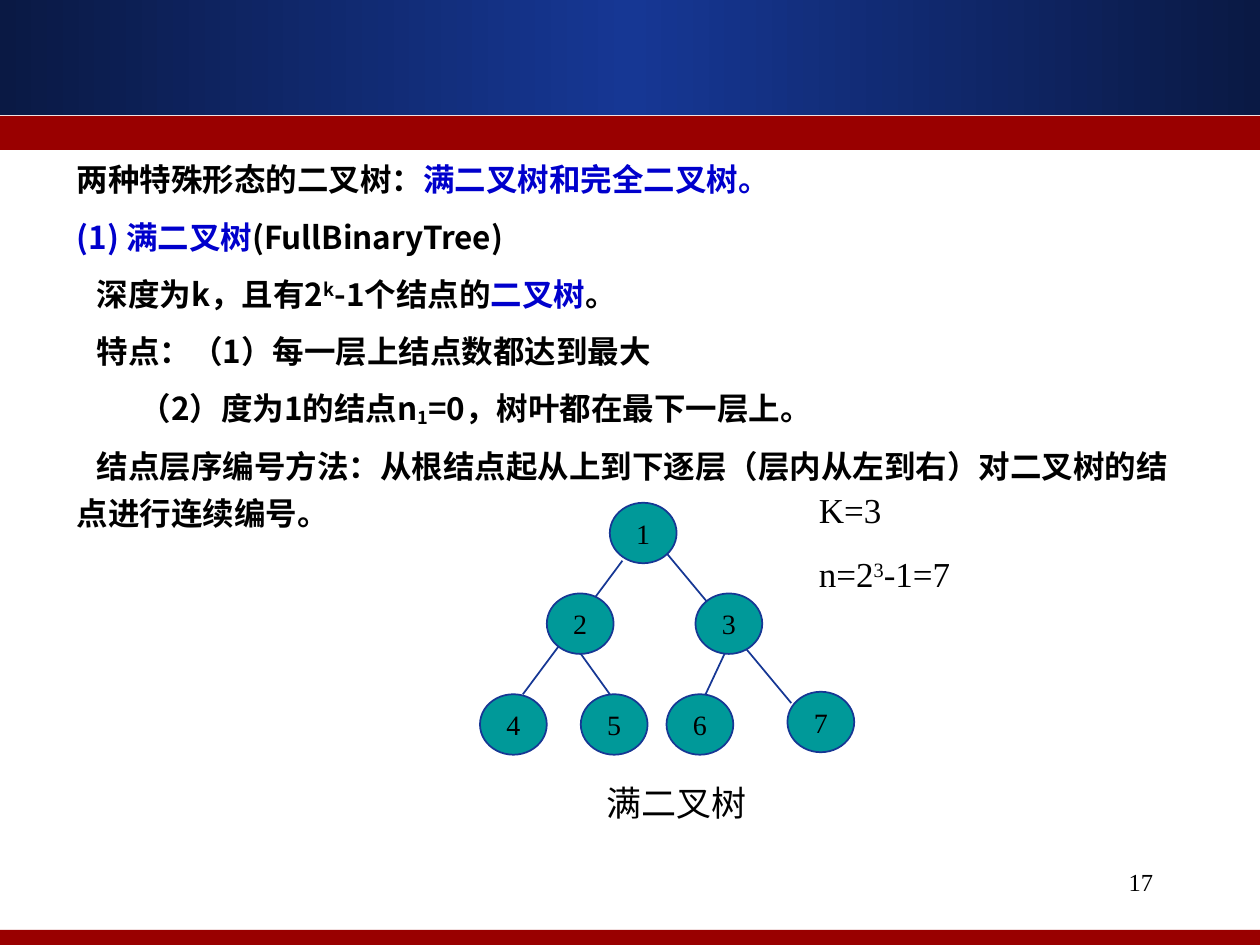
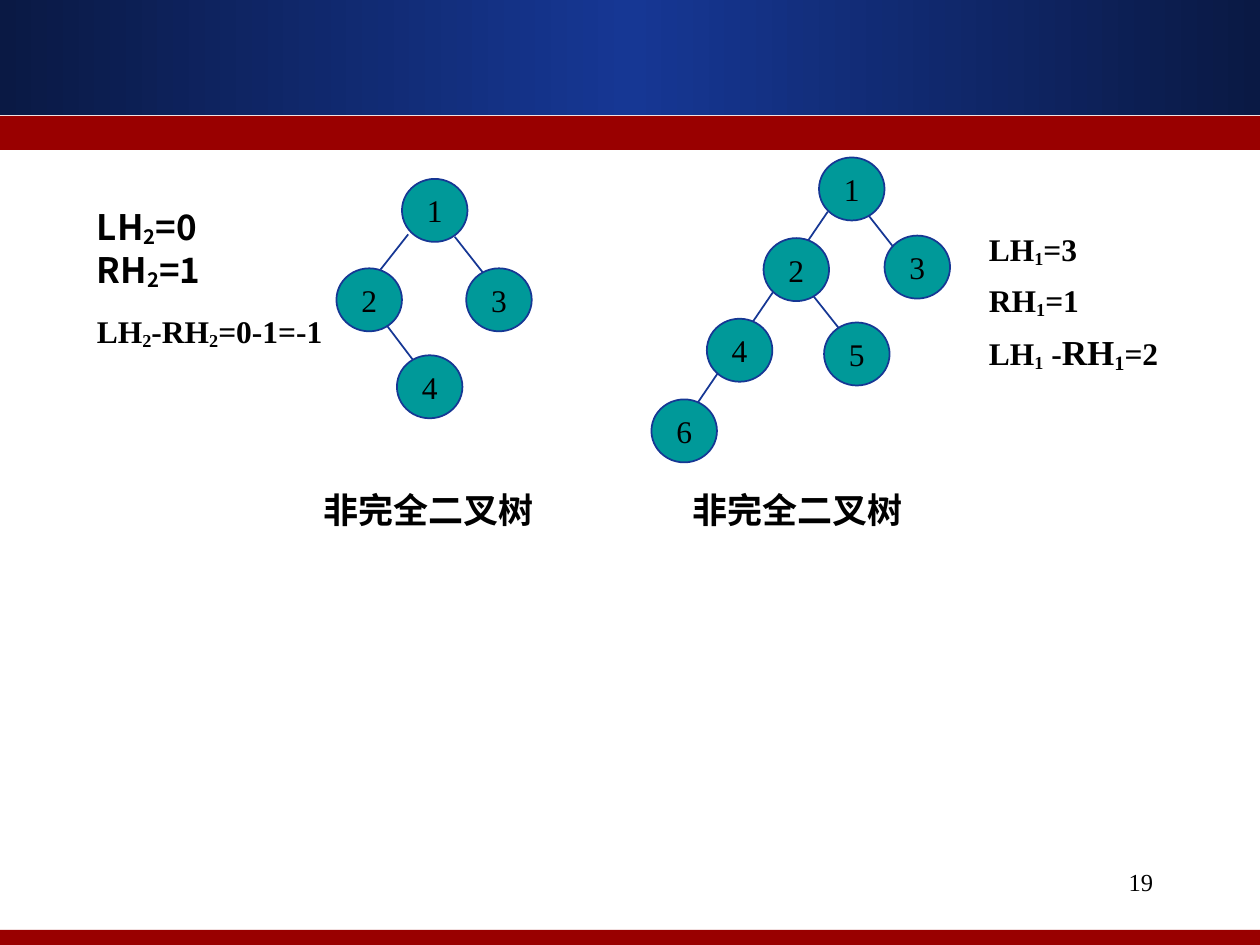
from copy import deepcopy
from lxml.etree import SubElement
from pptx import Presentation
from pptx.dml.color import RGBColor
from pptx.enum.shapes import MSO_CONNECTOR as CONNECTOR, MSO_SHAPE as SHAPE
from pptx.enum.text import MSO_ANCHOR as ANCHOR, PP_ALIGN as ALIGN
from pptx.oxml.ns import qn
from pptx.util import Inches, Pt

COLORS = {
    "ink": "000000", "term": "0000CC", "band": "990000", "node": "009999",
    "edge": "163794", "navy": "0A1944",
}
RGB = {name: RGBColor.from_string(value) for name, value in COLORS.items()}
SANS, SERIF = "Noto Sans CJK SC", "Times New Roman"
TERM = {"color": "term"}
SUB, SUPER = {"baseline": -12000}, {"baseline": 30000}


def write(shape, paragraphs, size, name=SERIF, bold=False, **para_format):
    """Fill a shape with paragraphs, each a list of strings or (string, changes) runs."""
    frame = shape.text_frame
    frame.word_wrap = True
    for number, runs in enumerate(paragraphs):
        para = frame.add_paragraph() if number else frame.paragraphs[0]
        for key, value in para_format.items():
            if number or key != "space_before":
                setattr(para, key, value)
        for run in runs:
            text, changes = (run, {}) if isinstance(run, str) else run
            style = {"size": size, "color": "ink", "baseline": 0, **changes}
            span = para.add_run()
            span.text = text
            font_format = {"name": name, "size": Pt(style["size"]), "bold": bold}
            for key, value in font_format.items():
                setattr(span.font, key, value)
            span.font.color.rgb = RGB[style["color"]]
            properties = span._r.get_or_add_rPr()
            SubElement(properties, qn("a:ea")).set("typeface", SANS)
            if style["baseline"]:
                properties.set("baseline", str(style["baseline"]))
    return frame


def draw_tree(page, edges, nodes, node_size, label_size):
    """Draw the edges (x1, y1, x2, y2), then numbered nodes at their left and top."""
    for ends in edges:
        edge = page.shapes.add_connector(CONNECTOR.STRAIGHT, *map(Inches, ends))
        edge.line.color.rgb = RGB["edge"]
        edge.line.width = Pt(1)
        SubElement(edge.element.spPr, qn("a:effectLst"))
    for label, corner in enumerate(nodes, start=1):
        node = page.shapes.add_shape(SHAPE.OVAL, *map(Inches, corner + node_size))
        node.shadow.inherit = False
        node.fill.solid()
        node.fill.fore_color.rgb = RGB["node"]
        node.line.color.rgb = RGB["edge"]
        node.line.width = Pt(1)
        frame = write(node, [[str(label)]], label_size, alignment=ALIGN.CENTER)
        frame.vertical_anchor = ANCHOR.MIDDLE
        for side in ("left", "right", "top", "bottom"):
            setattr(frame, f"margin_{side}", 0)


deck = Presentation()
deck.slide_width, deck.slide_height = Inches(10), Inches(7.5)
layout = deck.slide_layouts[6]
full_page, other_page = [deck.slides.add_slide(layout) for _ in range(2)]

# Bands are drawn once and moved to the shared layout
for top, height in [(0, 0.91), (0.92, 0.27), (7.38, 0.12)]:
    band = full_page.shapes.add_shape(
        SHAPE.RECTANGLE, 0, Inches(top), deck.slide_width, Inches(height))
    band.shadow.inherit = False
    band.line.fill.background()
    if top:
        band.fill.solid()
        band.fill.fore_color.rgb = RGB["band"]
    else:
        band.fill.gradient()
        band.fill.gradient_angle = 0
        stop_list = band.element.find(".//" + qn("a:gsLst"))
        stop_list.insert(1, deepcopy(stop_list[0]))
        for stop, position, color in zip(
                band.fill.gradient_stops, (0, 0.5, 1), ("navy", "edge", "navy")):
            stop.position = position
            stop.color.rgb = RGB[color]
    layout.shapes.element.append(band.element)

for page, number in [(full_page, "17"), (other_page, "19")]:
    box = page.shapes.add_textbox(*map(Inches, (7.17, 6.83, 2.08, 0.5)))
    write(box, [[number]], 14, alignment=ALIGN.RIGHT)

# Full binary tree
box = full_page.shapes.add_textbox(*map(Inches, (0.51, 1.15, 9, 3.13)))
definition = write(box, [
    ["两种特殊形态的二叉树：", ("满二叉树和完全二叉树。", TERM)],
    [("(1) 满二叉树", TERM), "(FullBinaryTree)"],
    ["深度为k，且有2", ("k", SUPER), "-1个结点的", ("二叉树", TERM), "。"],
    ["特点：（1）每一层上结点数都达到最大"],
    ["（2）度为1的结点n", ("1", SUB), "=0，树叶都在最下一层上。"],
    ["结点层序编号方法：从根结点起从上到下逐层（层内从左到右）对二叉树的结点进行连续编号。"],
], 18, SANS, True, line_spacing=1.25, space_before=Pt(5.6))
for para, indent in zip(definition.paragraphs[2:], (0.16, 0.16, 0.5, 0.16)):
    para._p.get_or_add_pPr().set("indent", str(Inches(indent)))

draw_tree(
    full_page,
    edges=[(5.29, 4.39, 6.28, 5.58), (4.94, 4.45, 4.15, 5.51),
           (4.61, 5.19, 4.84, 5.51), (5.75, 5.19, 5.6, 5.51)],
    nodes=[(4.84, 3.99), (4.34, 4.71), (5.52, 4.71), (3.81, 5.51),
           (4.61, 5.51), (5.29, 5.51), (6.25, 5.49)],
    node_size=(0.53, 0.48), label_size=16)

box = full_page.shapes.add_textbox(*map(Inches, (6.4, 3.83, 1.6, 0.94)))
write(box, [["K=3"], ["n=2", ("3", SUPER), "-1=7"]], 20, space_before=Pt(12.5))
box = full_page.shapes.add_textbox(*map(Inches, (3.58, 6.15, 3.58, 0.44)))
write(box, [["满二叉树"]], 20, alignment=ALIGN.CENTER)

# Trees that are not complete
draw_tree(
    other_page,
    edges=[(6.44, 2.33, 6.67, 2.62), (6.87, 1.68, 7.09, 1.96), (6.57, 1.68, 5.46, 3.31)],
    nodes=[(6.5, 1.25), (6.06, 1.89), (7.02, 1.87), (5.61, 2.53), (6.54, 2.56), (5.17, 3.17)],
    node_size=(0.52, 0.5), label_size=18)
draw_tree(
    other_page,
    edges=[(3.61, 1.88, 3.83, 2.16), (3.06, 2.57, 3.28, 2.86), (3.24, 1.86, 3.02, 2.14)],
    nodes=[(3.19, 1.42), (2.67, 2.13), (3.7, 2.13), (3.15, 2.82)],
    node_size=(0.52, 0.5), label_size=18)

box = other_page.shapes.add_textbox(*map(Inches, (7.75, 1.83, 1.7, 1.18)))
write(box, [
    ["LH", ("1", SUB), "=3"],
    ["RH", ("1", SUB), "=1"],
    ["LH", ("1", SUB), " -", ("RH", {"size": 20}), ("1", {"size": 20, **SUB}), "=2"],
], 18, bold=True, line_spacing=0.8, space_before=Pt(11.2))

for left in (2.4, 5.33):
    box = other_page.shapes.add_textbox(*map(Inches, (left, 3.83, 2, 0.44)))
    write(box, [["非完全二叉树"]], 20, bold=True, alignment=ALIGN.CENTER)

box = other_page.shapes.add_textbox(*map(Inches, (0.67, 1.58, 2.08, 0.8)))
write(box, [["LH", ("2", SUB), "=0"], ["RH", ("2", SUB), "=1"]], 20, SANS, True)
box = other_page.shapes.add_textbox(*map(Inches, (0.67, 2.43, 2.08, 0.4)))
write(box, [["LH", ("2", SUB), "-RH", ("2", SUB), "=0-1=-1"]], 18, bold=True)

deck.save("out.pptx")
